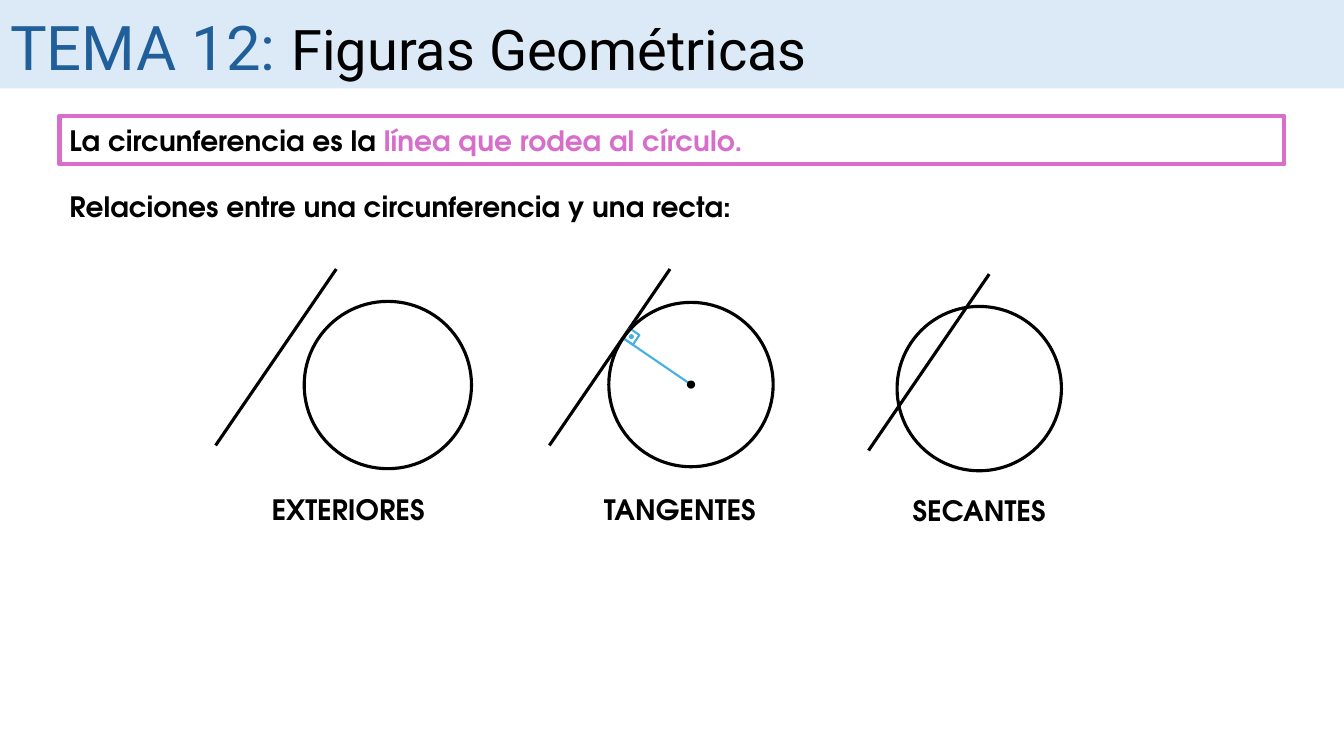
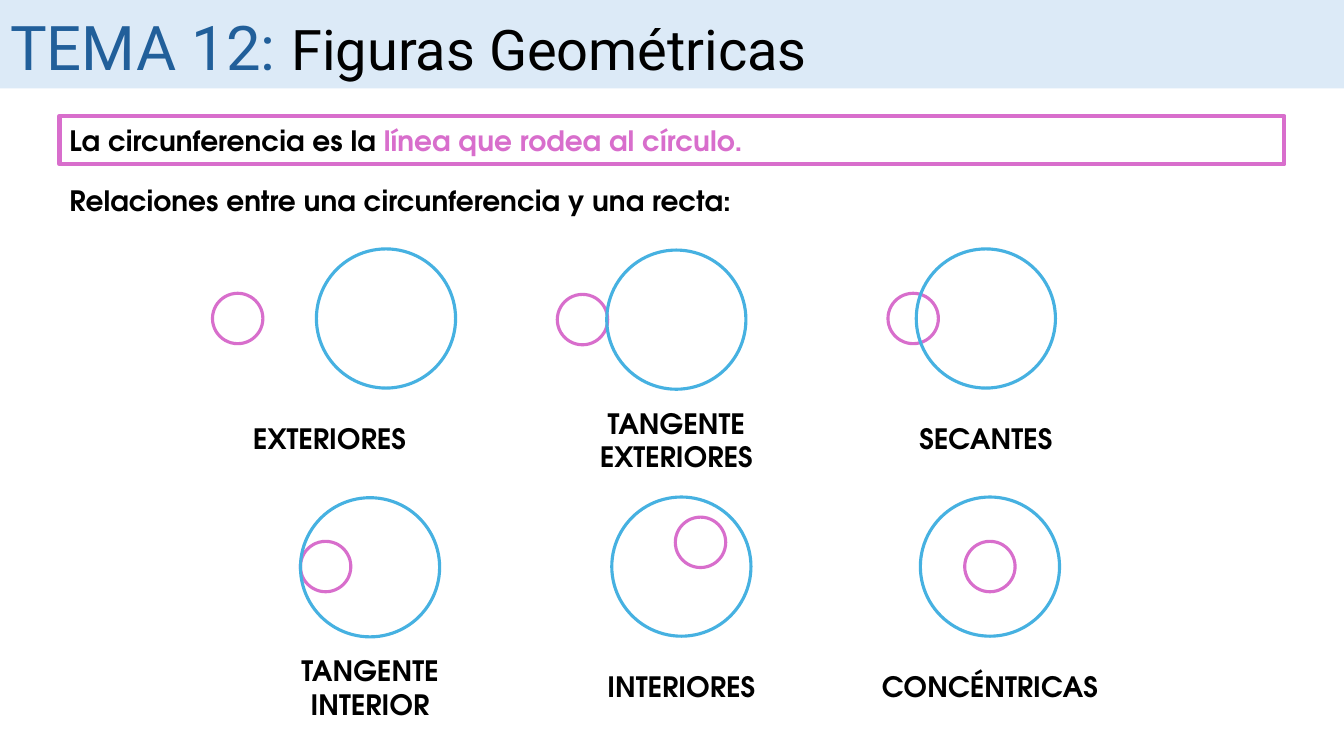
from math import atan2, degrees, hypot

from lxml import etree
from pptx import Presentation
from pptx.dml.color import RGBColor
from pptx.enum.shapes import MSO_CONNECTOR, MSO_SHAPE as SHAPE
from pptx.enum.text import MSO_ANCHOR as ANCHOR, MSO_AUTO_SIZE as AUTO, PP_ALIGN as ALIGN
from pptx.oxml.ns import qn
from pptx.util import Pt

COLORS = {"band": "DCEAF7", "title": "215F9A", "text": "000000",
          "pink": "D86ECC", "blue": "46B1E1"}
TITLE_FONT, BODY_FONT = "Roboto", "TeX Gyre Adventor"
SLIDE_W, SLIDE_H = 960, 540
MARGIN = 42.5
LABEL_W, LABEL_H = 131, 50
LINE_W, LINE_H = 86.2, 126
BIG, SMALL = 99.4, 36

LINE_FIGURES = [
    ("EXTERIORES", (154, 192.2), (63.3, 23.1, 119.5), (94.7, 171.5)),
    ("TANGENTES", (392.4, 192.2), (42.5, 23.8, 117.4), (93.2, 171.5)),
    ("SECANTES", (620.4, 195.8), (20.4, 23.1, 117.4), (79, 169)),
]
CIRCLE_FIGURES = [
    ("EXTERIORES", (226, 177.8), (-74.2, 31.7), -40.3, LABEL_W),
    ("TANGENTE EXTERIORES", (433.4, 178.6), (-35.3, 31.7), 0, LABEL_W),
    ("SECANTES", (654.5, 177.8), (-20.2, 31.7), 0, LABEL_W),
    ("TANGENTE\nINTERIOR", (214.6, 355.5), (0, 31.2), 0, LABEL_W),
    ("INTERIORES", (437, 355), (45.4, 14.4), 0, LABEL_W),
    ("CONCÉNTRICAS", (657.4, 355), (31.7, 31.7), 0, 190),
]


def rgb(name):
    return RGBColor.from_string(COLORS[name])


def add_shape(shapes, kind, x, y, w, h, fill=None, line=None, weight=2.25):
    sp = shapes.add_shape(kind, Pt(x), Pt(y), Pt(w), Pt(h))
    sp.shadow.inherit = False
    if fill:
        sp.fill.solid()
        sp.fill.fore_color.rgb = rgb(fill)
    else:
        sp.fill.background()
    if line:
        sp.line.color.rgb = rgb(line)
        sp.line.width = Pt(weight)
    else:
        sp.line.fill.background()
    return sp


def add_circle(shapes, x, y, d, line="text"):
    return add_shape(shapes, SHAPE.OVAL, x, y, d, d, line=line)


def add_dot(shapes, cx, cy, d, color, line=None):
    add_shape(shapes, SHAPE.OVAL, cx - d / 2, cy - d / 2, d, d, color, line, 1.5)


def add_line(shapes, x1, y1, x2, y2, color="text", weight=2.25):
    cn = shapes.add_connector(MSO_CONNECTOR.STRAIGHT, Pt(x1), Pt(y1), Pt(x2), Pt(y2))
    cn.line.color.rgb = rgb(color)
    cn.line.width = Pt(weight)
    etree.SubElement(cn._element.spPr, qn("a:effectLst"))


def style_body(tf, align=ALIGN.LEFT):
    tf.word_wrap = True
    tf.vertical_anchor = ANCHOR.MIDDLE
    for p in tf.paragraphs:
        p.alignment = align
        p.font.name, p.font.size, p.font.bold = BODY_FONT, Pt(20), True
        p.font.color.rgb = rgb("text")


def add_text(shapes, text, x, y, w, h, align=ALIGN.LEFT):
    tb = shapes.add_textbox(Pt(x), Pt(y), Pt(w), Pt(h))
    tb.text_frame.text = text
    style_body(tb.text_frame, align)


def add_label(shapes, text, cx, cy, w=LABEL_W):
    add_text(shapes, text, cx - w / 2, cy - LABEL_H / 2, w, LABEL_H, ALIGN.CENTER)


def add_title(s):
    band = add_shape(s.shapes, SHAPE.RECTANGLE, 0, 0, SLIDE_W, 63.2, "band")
    s.shapes._spTree.insert(2, band._element)
    title = s.shapes.title
    title.left, title.top, title.width, title.height = Pt(0), Pt(3), Pt(853), Pt(60.2)
    tf = title.text_frame
    tf.auto_size, tf.vertical_anchor = AUTO.NONE, ANCHOR.TOP
    p = tf.paragraphs[0]
    p.alignment = ALIGN.LEFT
    p.font.name = TITLE_FONT
    for text, size, color in (("TEMA 12: ", 44, "title"),
                              ("Figuras Geométricas", 40, "text")):
        r = p.add_run()
        r.text, r.font.size = text, Pt(size)
        r.font.color.rgb = rgb(color)


def add_definition(s):
    sp = add_shape(s.shapes, SHAPE.RECTANGLE, MARGIN, 82.8, SLIDE_W - 2 * MARGIN, 34.6,
                   line="pink", weight=3)
    p = sp.text_frame.paragraphs[0]
    p.add_run().text = "La circunferencia es la "
    r = p.add_run()
    r.text = "línea que rodea al círculo."
    r.font.color.rgb = rgb("pink")
    style_body(sp.text_frame)


def add_content_slide(prs, heading_y):
    s = prs.slides.add_slide(prs.slide_layouts[5])
    add_title(s)
    add_definition(s)
    add_text(s.shapes, "Relaciones entre una circunferencia y una recta:",
             MARGIN, heading_y, 695.5, 31.7)
    return s


def add_tangent_radius(shapes, cx, cy, radius):
    length = hypot(LINE_W, LINE_H)
    ux, uy = LINE_H / length, LINE_W / length
    foot_x, foot_y = cx - radius * ux, cy - radius * uy
    side = 8.4
    mark_x = foot_x + side / 2 * (ux + uy)
    mark_y = foot_y + side / 2 * (uy - ux)
    add_line(shapes, cx, cy, foot_x, foot_y, "blue", 1.5)
    add_dot(shapes, cx, cy, 4.3, "text", "text")
    mark = add_shape(shapes, SHAPE.RECTANGLE, mark_x - side / 2, mark_y - side / 2,
                     side, side, line="blue", weight=1.5)
    mark.rotation = degrees(atan2(uy, ux))
    add_dot(shapes, mark_x, mark_y, 3.6, "blue")


def add_line_figure(s, text, box, circle, label):
    shapes = s.shapes.add_group_shape().shapes
    x, y = box
    dx, dy, d = circle
    add_line(shapes, x + LINE_W, y, x, y + LINE_H)
    if text == "TANGENTES":
        add_tangent_radius(shapes, x + dx + d / 2, y + dy + d / 2, d / 2)
    add_circle(shapes, x + dx, y + dy, d)
    add_label(shapes, text, x + label[0], y + label[1])


def add_circle_figure(s, text, box, small, label_shift, label_w):
    shapes = s.shapes.add_group_shape().shapes
    x, y = box
    add_circle(shapes, x + small[0], y + small[1], SMALL, "pink")
    add_circle(shapes, x, y, BIG, "blue")
    add_label(shapes, text, x + BIG / 2 + label_shift, y + 135.5, label_w)


def main():
    prs = Presentation()
    prs.slide_width, prs.slide_height = Pt(SLIDE_W), Pt(SLIDE_H)
    s = add_content_slide(prs, 131.8)
    for figure in LINE_FIGURES:
        add_line_figure(s, *figure)
    s = add_content_slide(prs, 127.4)
    for figure in CIRCLE_FIGURES:
        add_circle_figure(s, *figure)
    prs.save("out.pptx")


if __name__ == "__main__":
    main()
